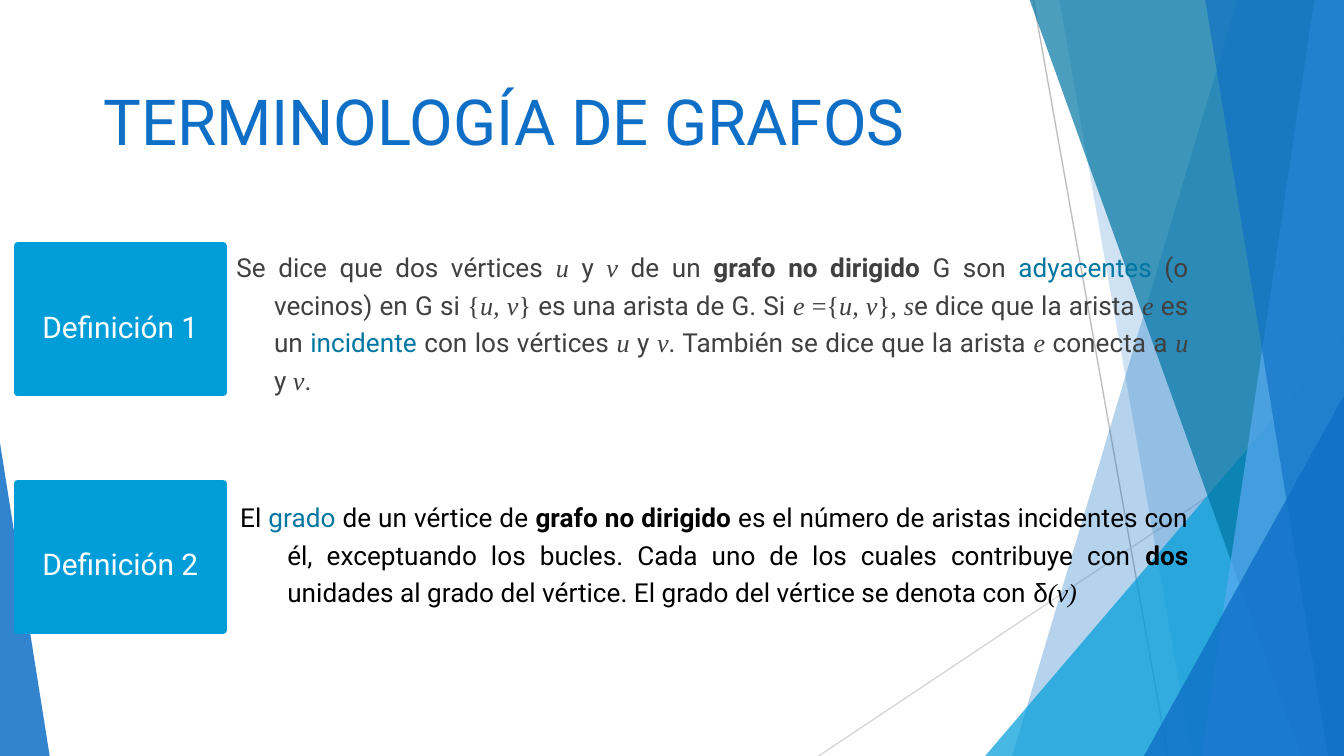
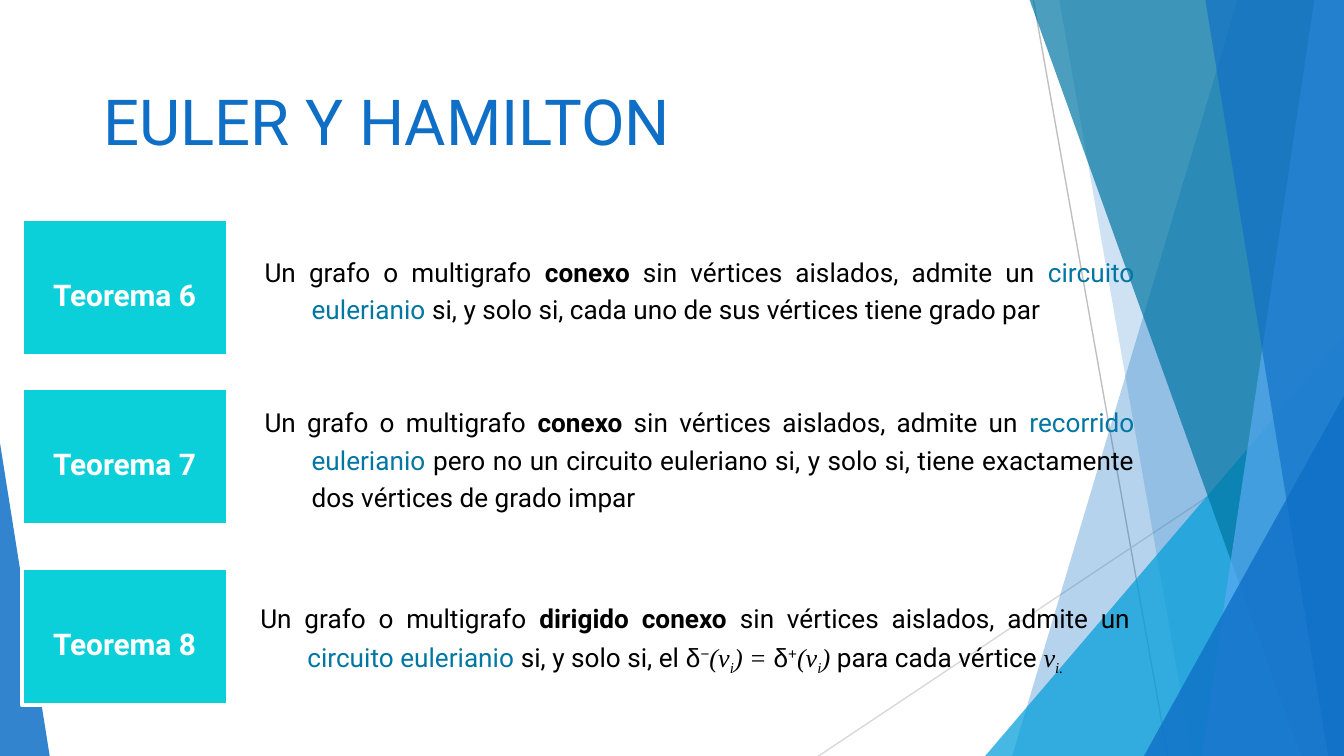
from lxml import etree
from pptx import Presentation
from pptx.dml.color import RGBColor
from pptx.enum.shapes import MSO_CONNECTOR, MSO_SHAPE
from pptx.enum.text import MSO_ANCHOR, MSO_AUTO_SIZE, PP_ALIGN
from pptx.oxml.ns import qn
from pptx.util import Cm, Pt

STRAIGHT = MSO_CONNECTOR.STRAIGHT
RECTANGLE, TRIANGLE = MSO_SHAPE.RECTANGLE, MSO_SHAPE.ISOSCELES_TRIANGLE
MIDDLE, BOTTOM = MSO_ANCHOR.MIDDLE, MSO_ANCHOR.BOTTOM
LEFT, CENTER, JUSTIFY = PP_ALIGN.LEFT, PP_ALIGN.CENTER, PP_ALIGN.JUSTIFY
NO_AUTOFIT = MSO_AUTO_SIZE.NONE

WIDTH, HEIGHT = 25.4, 14.29
COLORS = {
    "blue": "0F6FC6", "sky": "009DD9", "teal": "0076A3", "light": "59AAF2",
    "cyan": "0BD0D9", "white": "FFFFFF", "black": "000000", "dark": "404040",
    "line": "BFBFBF", "pale_line": "D9D9D9",
}
SANS, SERIF, GREEK = "Roboto", "Times New Roman", "Arial"
STYLES = {
    "plain": {},
    "bold": {"bold": True},
    "term": {"color": "teal"},
    "brace": {"font": SERIF},
    "math": {"font": SERIF, "italic": True},
    "sub": {"font": SERIF, "italic": True, "baseline": -25000},
    "greek": {"font": GREEK},
    "super": {"font": GREEK, "baseline": 30000},
}

DEFINITION_1 = [
    ("Se dice que dos vértices ", "plain"), ("u ", "math"), ("y", "plain"),
    (" v", "math"), (" de un ", "plain"), ("grafo no dirigido", "bold"),
    (" G son ", "plain"), ("adyacentes", "term"),
    (" (o vecinos) en G si ", "plain"), ("{", "brace"), ("u, v", "math"),
    ("}", "brace"), (" es una arista de G. Si ", "plain"), ("e", "math"),
    (" ={", "brace"), ("u, v", "math"), ("}", "brace"), (", s", "math"),
    ("e dice que la arista ", "plain"), ("e", "math"), (" es un ", "plain"),
    ("incidente", "term"), (" con los vértices ", "plain"), ("u ", "math"),
    ("y ", "plain"), ("v", "math"),
    (". También se dice que la arista ", "plain"), ("e", "math"),
    (" conecta a ", "plain"), ("u ", "math"), ("y ", "plain"), ("v", "math"),
    (".", "plain"),
]
DEFINITION_2 = [
    ("El ", "plain"), ("grado", "term"), (" de un vértice de ", "plain"),
    ("grafo no dirigido", "bold"),
    (" es el número de aristas incidentes con él, exceptuando los bucles. "
     "Cada uno de los cuales contribuye con ", "plain"),
    ("dos", "bold"),
    (" unidades al grado del vértice. El grado del vértice se denota con ", "plain"),
    ("δ", "greek"), ("(v)", "math"),
]
CONNECTED_GRAPH = [
    ("Un grafo o multigrafo ", "plain"), ("conexo", "bold"),
    (" sin vértices aislados, admite un ", "plain"),
]
THEOREM_6 = CONNECTED_GRAPH + [
    ("circuito eulerianio ", "term"),
    ("si, y solo si, cada uno de sus vértices tiene grado par", "plain"),
]
THEOREM_7 = CONNECTED_GRAPH + [
    ("recorrido eulerianio", "term"),
    (" pero no un circuito euleriano si, y solo si, tiene exactamente "
     "dos vértices de grado impar", "plain"),
]
THEOREM_8 = [
    ("Un grafo o multigrafo ", "plain"), ("dirigido conexo ", "bold"),
    ("sin vértices aislados, admite un ", "plain"),
    ("circuito eulerianio", "term"), (" si, y solo si, el ", "plain"),
    ("δ", "greek"), ("−", "super"), ("(v", "math"), ("i", "sub"),
    (") = ", "math"), ("δ", "greek"), ("+", "super"), ("(v", "math"),
    ("i", "sub"), (") ", "math"), ("para cada vértice ", "plain"),
    ("v", "math"), ("i.", "sub"),
]


def rgb(name):
    """Return the named colour."""
    return RGBColor.from_string(COLORS[name])


def box_lengths(box):
    """Convert a box in centimetres to lengths."""
    return [Cm(value) for value in box]


def format_font(font, size, color, name=SANS, bold=False, italic=False):
    """Set the look of a font."""
    font.name, font.size = name, Pt(size)
    font.bold, font.italic = bold, italic
    font.color.rgb = rgb(color)


def fill_glass(shape, color, opacity):
    """Give a shape a translucent fill and no outline."""
    shape.shadow.inherit = False
    shape.line.fill.background()
    shape.fill.solid()
    shape.fill.fore_color.rgb = rgb(color)
    for color_element in shape.element.spPr.iter(qn("a:srgbClr")):
        alpha = etree.SubElement(color_element, qn("a:alpha"))
        alpha.set("val", str(opacity * 1000))


def add_thin_line(shapes, start, end, color):
    """Draw a hairline between two points."""
    line = shapes.add_connector(STRAIGHT, *box_lengths(start + end))
    line.line.color.rgb = rgb(color)
    line.line.width = Pt(0.75)
    etree.SubElement(line.element.spPr, qn("a:effectLst"))


def add_pane(shapes, top_x, bottom_x, color, opacity):
    """Draw a slanted pane that reaches the right edge."""
    builder = shapes.build_freeform(Cm(top_x), 0)
    corners = [(WIDTH, 0), (WIDTH, HEIGHT), (bottom_x, HEIGHT)]
    builder.add_line_segments([(Cm(x), Cm(y)) for x, y in corners])
    fill_glass(builder.convert_to_shape(), color, opacity)


def add_corner(shapes, left, width, height, peak, color, opacity):
    """Draw a right triangle standing on the bottom edge."""
    box = (left, HEIGHT - height, width, height)
    triangle = shapes.add_shape(TRIANGLE, *box_lengths(box))
    triangle.adjustments[0] = peak
    fill_glass(triangle, color, opacity)


def add_background(slide):
    """Place the faceted background on the layout of the slide."""
    group = slide.shapes.add_group_shape()
    shapes = group.shapes
    add_thin_line(shapes, (19.53, 0), (22.07, HEIGHT), "line")
    add_thin_line(shapes, (WIDTH, 7.67), (15.47, HEIGHT), "pale_line")
    add_pane(shapes, 23.39, 19.13, "blue", 30)
    add_pane(shapes, 20.02, 22.53, "blue", 20)
    add_corner(shapes, WIDTH - 6.78, 6.78, 7.94, 1, "sky", 72)
    add_pane(shapes, 19.46, 24.59, "teal", 70)
    add_pane(shapes, 24.84, 22.71, "light", 70)
    add_pane(shapes, 22.78, 25.1, "blue", 65)
    add_corner(shapes, WIDTH - 3.78, 3.78, 6.81, 1, "blue", 80)
    add_corner(shapes, 0, 0.94, 5.92, 0, "blue", 85)
    slide.slide_layout.shapes.element.insert(2, group.element)


def set_title(slide, text, box):
    """Write the slide title in its placeholder."""
    title = slide.shapes.title
    title.left, title.top, title.width, title.height = box_lengths(box)
    frame = title.text_frame
    frame.text = text
    frame.auto_size = NO_AUTOFIT
    frame.vertical_anchor = BOTTOM
    frame.paragraphs[0].alignment = LEFT
    format_font(frame.paragraphs[0].runs[0].font, 34, "blue")


def add_label(slide, text, box, fill, outline, line_width, bold):
    """Draw the coloured block that names a statement."""
    label = slide.shapes.add_shape(RECTANGLE, *box_lengths(box))
    label.shadow.inherit = False
    label.fill.solid()
    label.fill.fore_color.rgb = rgb(fill)
    label.line.color.rgb = rgb(outline)
    label.line.width = Pt(line_width)
    frame = label.text_frame
    frame.text = text
    frame.word_wrap = True
    frame.vertical_anchor = MIDDLE
    frame.margin_left = frame.margin_right = Cm(0.38)
    frame.margin_top, frame.margin_bottom = Cm(0.51), Cm(0.25)
    paragraph = frame.paragraphs[0]
    paragraph.alignment = CENTER
    format_font(paragraph.runs[0].font, 16, "white", bold=bold)


def add_statement(slide, pieces, box, color="black", hanging=0.89):
    """Write a justified statement with a hanging indent."""
    frame = slide.shapes.add_textbox(*box_lengths(box)).text_frame
    frame.word_wrap = True
    frame.vertical_anchor = MIDDLE
    paragraph = frame.paragraphs[0]
    paragraph.alignment = JUSTIFY
    paragraph.line_spacing = 1.2
    properties = paragraph._p.get_or_add_pPr()
    properties.set("marL", str(Cm(hanging)))
    properties.set("indent", str(-Cm(hanging)))
    for text, style_name in pieces:
        style = STYLES[style_name]
        run = paragraph.add_run()
        run.text = text
        format_font(run.font, 14, style.get("color", color), style.get("font", SANS),
                    style.get("bold", False), style.get("italic", False))
        if "baseline" in style:
            run._r.get_or_add_rPr().set("baseline", str(style["baseline"]))


def build_definitions(slide):
    """Fill the slide of graph definitions."""
    set_title(slide, "TERMINOLOGÍA DE GRAFOS", (1.7, 0.2, 22.43, 2.92))
    add_statement(slide, DEFINITION_1, (4.22, 4.37, 18.49, 3.38), "dark", 0.71)
    add_statement(slide, DEFINITION_2, (4.29, 8.74, 18.42, 3.38))
    for number, top in enumerate((4.65, 9.14), start=1):
        add_label(slide, f"Definición {number}", (0.33, top, 3.89, 2.77),
                  "sky", "sky", 4, False)


def build_theorems(slide):
    """Fill the slide of Euler theorems."""
    set_title(slide, "EULER Y HAMILTON", (1.7, 0.33, 23.7, 2.79))
    theorems = [(THEOREM_6, 4.75, 4.14), (THEOREM_7, 4.75, 7.34),
                (THEOREM_8, 4.67, 10.74)]
    for number, (pieces, left, top) in enumerate(theorems, start=6):
        add_label(slide, f"Teorema {number}", (0.41, top, 3.89, 2.59),
                  "cyan", "white", 2, True)
        add_statement(slide, pieces, (left, top, 16.94, 2.59))


def main():
    """Build and save the presentation."""
    presentation = Presentation()
    presentation.slide_width, presentation.slide_height = Cm(WIDTH), Cm(HEIGHT)
    layout = presentation.slide_layouts.get_by_name("Title Only")
    definitions, theorems = [presentation.slides.add_slide(layout) for _ in range(2)]
    add_background(definitions)
    build_definitions(definitions)
    build_theorems(theorems)
    presentation.save("out.pptx")


if __name__ == "__main__":
    main()
